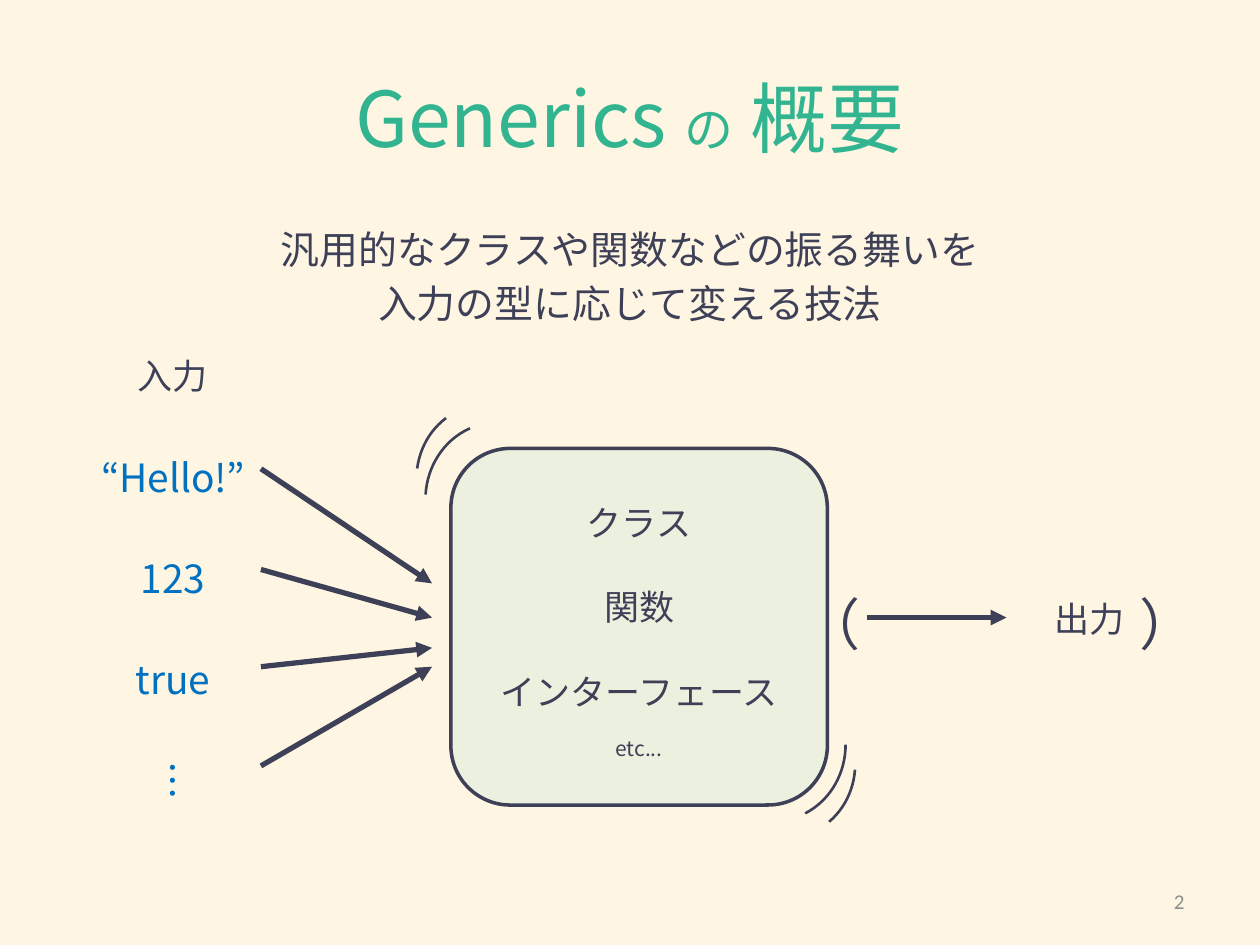
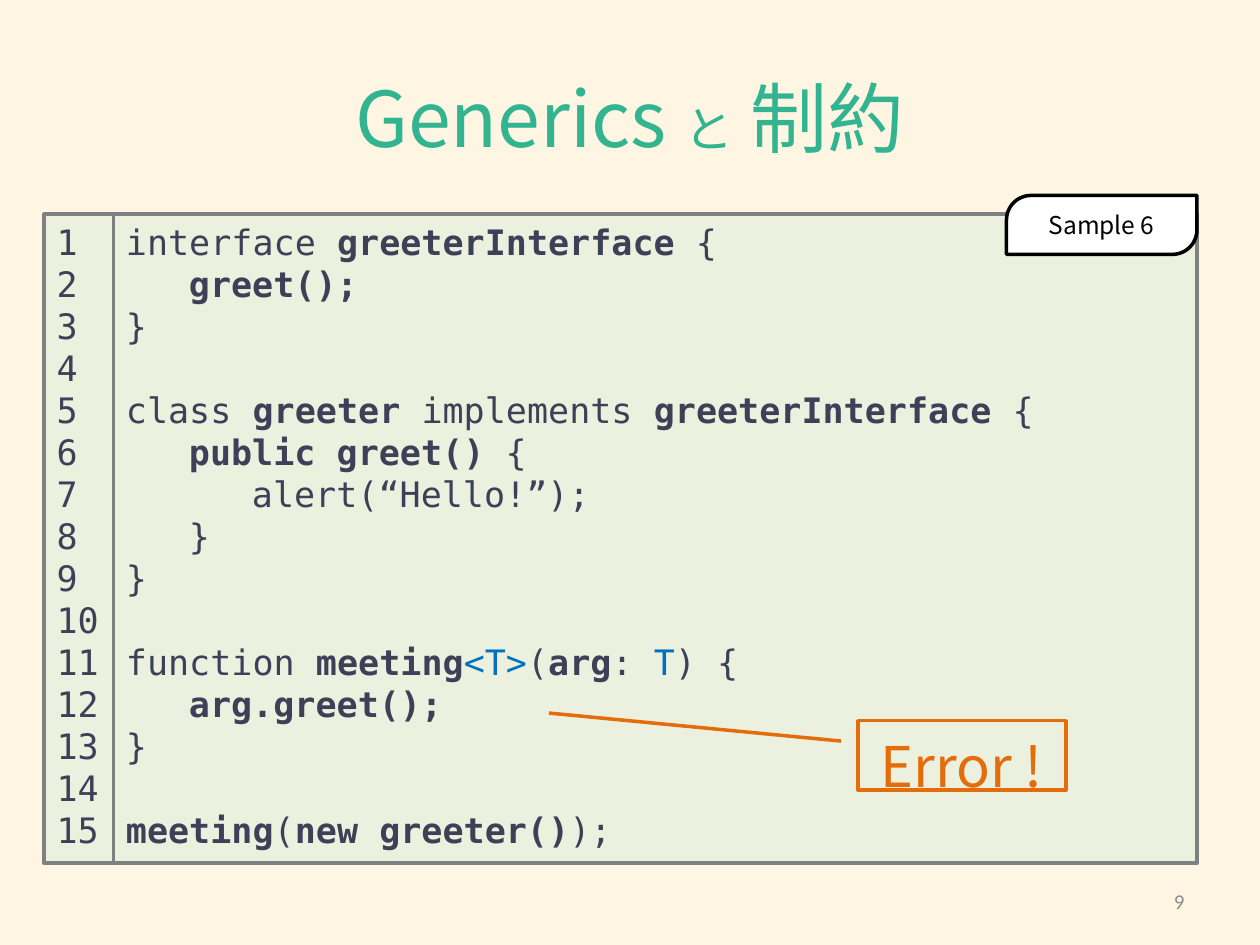
from dataclasses import dataclass

from lxml import etree
from pptx import Presentation
from pptx import util as u
from pptx.dml import color
from pptx.enum import shapes, text
from pptx.oxml import ns

Cm, Pt = u.Cm, u.Pt
Kind, Align, Anchor = shapes.MSO_SHAPE, text.PP_ALIGN, text.MSO_ANCHOR


@dataclass(frozen=True)
class Theme:
    """Colours, fonts and type sizes of the deck."""
    paper: str = "FEF6E3"
    title: str = "32B490"
    ink: str = "3E4057"
    accent: str = "0070C0"
    panel: str = "EBF1DE"
    frame: str = "808080"
    alert: str = "E46C0A"
    white: str = "FFFFFF"
    black: str = "000000"
    muted: str = "8C8C8C"
    sans: str = "Noto Sans CJK JP"
    mono: str = "DejaVu Sans Mono"
    footer: str = "Calibri"
    title_size: float = 44
    particle_size: float = 28
    big_size: float = 32
    lead_size: float = 22.2
    body_size: float = 20
    tag_size: float = 14
    small_size: float = 12


@dataclass(frozen=True)
class Box:
    """A region in centimetres, with places measured from its corner."""
    left: float
    top: float
    width: float
    height: float

    def inner(self, left, top, width, height):
        return Box(self.left + left, self.top + top, width, height)

    def lengths(self):
        return [Cm(n) for n in (self.left, self.top, self.width, self.height)]


THEME = Theme()
TITLE_BOX = Box(1.27, 0.76, 22.86, 3.18)
NUMBER_BOX = Box(18.21, 17.65, 5.92, 1.02)
LEAD_BOX = Box(1.27, 4.45, 22.86, 2.08)
INPUT_BOX = Box(1.07, 6.88, 7.64, 9.38)
MACHINE_BOX = Box(9.09, 9.04, 7.59, 7.19)
OUTPUT_BOX = Box(15.54, 11.63, 9.22, 1.88)
CODE_BOX = Box(0.89, 4.32, 23.24, 13.08)

# Asterisks enclose bold code, tildes enclose type parameters.
CODE = """interface *greeterInterface* {
\t*greet();*
}

class *greeter* implements *greeterInterface* {
\t*public greet() *{
\t\talert(“Hello!”);
\t}
}

function *meeting*~<T>~(*arg*: ~T~) {
\t*arg.greet();*
}

*meeting*(*new greeter()*);""".split("\n")


def rgb(value):
    return color.RGBColor.from_string(value)


def style(para, size, ink=THEME.ink, font=THEME.sans, align=Align.CENTER,
          line=None, before=0):
    """Format a whole paragraph, for Latin and East Asian text alike."""
    para.alignment = align
    para.space_before = Pt(before)
    if line:
        para.line_spacing = Pt(line)
    para.font.name, para.font.size = font, Pt(size)
    para.font.color.rgb = rgb(ink)
    defaults = para._p.get_or_add_pPr().get_or_add_defRPr()
    etree.SubElement(defaults, ns.qn("a:ea"), typeface=font)


def next_para(frame, index):
    """Return the first paragraph of a frame, or a new one after it."""
    return frame.add_paragraph() if index else frame.paragraphs[0]


def write(shape, lines, size, anchor=Anchor.MIDDLE, gap=0, **looks):
    """Fill a shape with equally styled lines, a gap apart."""
    frame = shape.text_frame
    frame.word_wrap, frame.vertical_anchor = True, anchor
    for index, words in enumerate(lines):
        para = next_para(frame, index)
        para.add_run().text = words
        style(para, size, before=gap if index else 0, **looks)
    return frame


def add_label(page, box, lines, size, **looks):
    """Add a text box."""
    return write(page.shapes.add_textbox(*box.lengths()), lines, size, **looks)


def add_panel(page, kind, box, fill, line, width=2):
    """Add a preset shape; fill None leaves it empty."""
    shape = page.shapes.add_shape(kind, *box.lengths())
    shape.shadow.inherit = False
    if fill:
        shape.fill.solid()
        shape.fill.fore_color.rgb = rgb(fill)
    else:
        shape.fill.background()
    shape.line.color.rgb, shape.line.width = rgb(line), Pt(width)
    return shape


def adjust(shape, *values):
    """Set the adjustment values of a preset shape."""
    for index, value in enumerate(values):
        shape.adjustments[index] = value


def add_arrow(page, box, start, end):
    """Add an arrow between two points of a box."""
    ends = [Cm(n) for x, y in (start, end) for n in (box.left + x, box.top + y)]
    arrow = page.shapes.add_connector(shapes.MSO_CONNECTOR.STRAIGHT, *ends)
    arrow.line.color.rgb, arrow.line.width = rgb(THEME.ink), Pt(3)
    outline = arrow._element.spPr.find(ns.qn("a:ln"))
    etree.SubElement(outline, ns.qn("a:tailEnd"), type="triangle")
    etree.SubElement(arrow._element.spPr, ns.qn("a:effectLst"))


def add_page(deck, particle, topic, number):
    """Start a slide with its title and page number."""
    page = deck.slides.add_slide(deck.slide_layouts.get_by_name("Title Only"))
    title = page.shapes.title
    title.left, title.top, title.width, title.height = TITLE_BOX.lengths()
    title.text_frame.vertical_anchor = Anchor.MIDDLE
    para = title.text_frame.paragraphs[0]
    style(para, THEME.title_size, ink=THEME.title)
    for words in ("Generics ", particle, " " + topic):
        span = para.add_run()
        span.text = words
        if words == particle:
            span.font.size = Pt(THEME.particle_size)
    add_label(page, NUMBER_BOX, [str(number)], THEME.small_size,
              ink=THEME.muted, font=THEME.footer, align=Align.RIGHT)
    return page


def add_inputs(page, box):
    """Place the input values and the arrows that leave them."""
    add_label(page, box.inner(0, 0, 4.83, 1.37), ["入力"], THEME.body_size)
    add_label(page, box.inner(0, 2.01, 4.83, 7.37), ["“Hello!”", "123", "true", "︙"],
              THEME.lead_size, ink=THEME.accent, line=32, gap=25.8)
    for start, end in ((2.57, 4.88), (4.6, 5.57), (6.56, 6.18), (8.56, 6.56)):
        add_arrow(page, box, (4.19, start), (box.width, end))


def add_machine(page, box):
    """Place the generic block and the arcs that show it shaking."""
    block = add_panel(page, Kind.ROUNDED_RECTANGLE, box, THEME.panel, THEME.ink)
    frame = write(block, ["クラス", "関数", "インターフェース"], THEME.body_size,
                  line=29, gap=19.3)
    para = frame.add_paragraph()
    para.add_run().text = "etc..."
    style(para, THEME.small_size, line=17.4, before=10.6)

    long_arc, short_arc = (171.39, 208.82), (181.35, 207.78)
    for left, top, turn, sweep in ((4.85, 4.42, 76.3, long_arc),
                                   (5.03, 4.78, 65.2, short_arc),
                                   (-0.61, -0.43, 259.7, long_arc),
                                   (-0.78, -0.81, 248.6, short_arc)):
        arc = add_panel(page, Kind.ARC, box.inner(left, top, 3.2, 3), None, THEME.ink, 1.5)
        adjust(arc, *sweep)
        arc.rotation = turn


def add_output(page, box):
    """Place the optional output between its brackets."""
    add_label(page, box.inner(4.02, 0.16, 4.83, 1.37), ["出力"], THEME.body_size)
    add_arrow(page, box, (1.94, 0.82), (4.75, 0.82))
    for left, bracket in ((0.67, "（"), (7.44, "）")):
        frame = add_label(page, box.inner(left, 0, 1.13, box.height), [bracket],
                          THEME.big_size)
        frame.margin_left = frame.margin_right = 0


def write_code(shape, lines, pitch):
    """Write marked-up code; an empty line becomes space before the next."""
    frame = shape.text_frame
    frame.word_wrap, frame.vertical_anchor = True, Anchor.TOP
    before = 0
    for index, line in enumerate(lines):
        if not line:
            before = pitch
            continue
        para = next_para(frame, index)
        style(para, THEME.body_size, font=THEME.mono, align=Align.LEFT,
              line=pitch, before=before)
        before = 0
        for turn, chunk in enumerate(line.split("~")):
            for piece, words in enumerate(chunk.split("*")):
                if not words:
                    continue
                span = para.add_run()
                span.text = words
                if piece % 2:
                    span.font.bold = True
                if turn % 2:
                    span.font.color.rgb = rgb(THEME.accent)


def add_listing(page, box, lines, tag):
    """Place numbered code with a name tag on its upper right corner."""
    gutter, pitch = 1.4, 24
    body = add_panel(page, Kind.RECTANGLE, box.inner(gutter, 0, box.width - gutter, box.height),
                     THEME.panel, THEME.frame)
    write_code(body, lines, pitch)
    margin = add_panel(page, Kind.RECTANGLE, box.inner(0, 0, gutter, box.height),
                       THEME.panel, THEME.frame)
    numbers = [str(n + 1) for n in range(len(lines))]
    write(margin, numbers, THEME.body_size, anchor=Anchor.TOP, font=THEME.mono,
          align=Align.LEFT, line=pitch).margin_right = 0
    label = add_panel(page, Kind.ROUND_2_DIAG_RECTANGLE,
                      box.inner(box.width - 3.84, -0.38, 3.84, 1.19),
                      THEME.white, THEME.black)
    adjust(label, 0.417, 0)
    write(label, [tag], THEME.tag_size, ink=THEME.black)


def add_error(page, box):
    """Place the callout that points at the faulty line."""
    callout = add_panel(page, Kind.LINE_CALLOUT_1, box, THEME.panel, THEME.alert)
    adjust(callout, 0.293, -0.083, -0.111, -1.488)
    write(callout, ["Error !"], THEME.big_size, anchor=Anchor.TOP,
          ink=THEME.alert, line=41)


def overview_slide(deck):
    """Build the slide that explains generics."""
    page = add_page(deck, "の", "概要", 2)
    add_label(page, LEAD_BOX, ["汎用的なクラスや関数などの振る舞いを", "入力の型に応じて変える技法"],
              THEME.lead_size, line=31)
    add_machine(page, MACHINE_BOX)
    add_inputs(page, INPUT_BOX)
    add_output(page, OUTPUT_BOX)


def constraint_slide(deck):
    """Build the slide with the failing code sample."""
    page = add_page(deck, "と", "制約", 9)
    add_listing(page, CODE_BOX, CODE, "Sample 6")
    add_error(page, CODE_BOX.inner(16.41, 10.21, 4.19, 1.4))


deck = Presentation()
deck.slide_width, deck.slide_height = Cm(25.4), Cm(19.05)
paper = deck.slide_master.background.fill
paper.solid()
paper.fore_color.rgb = rgb(THEME.paper)
overview_slide(deck)
constraint_slide(deck)
deck.save("out.pptx")
